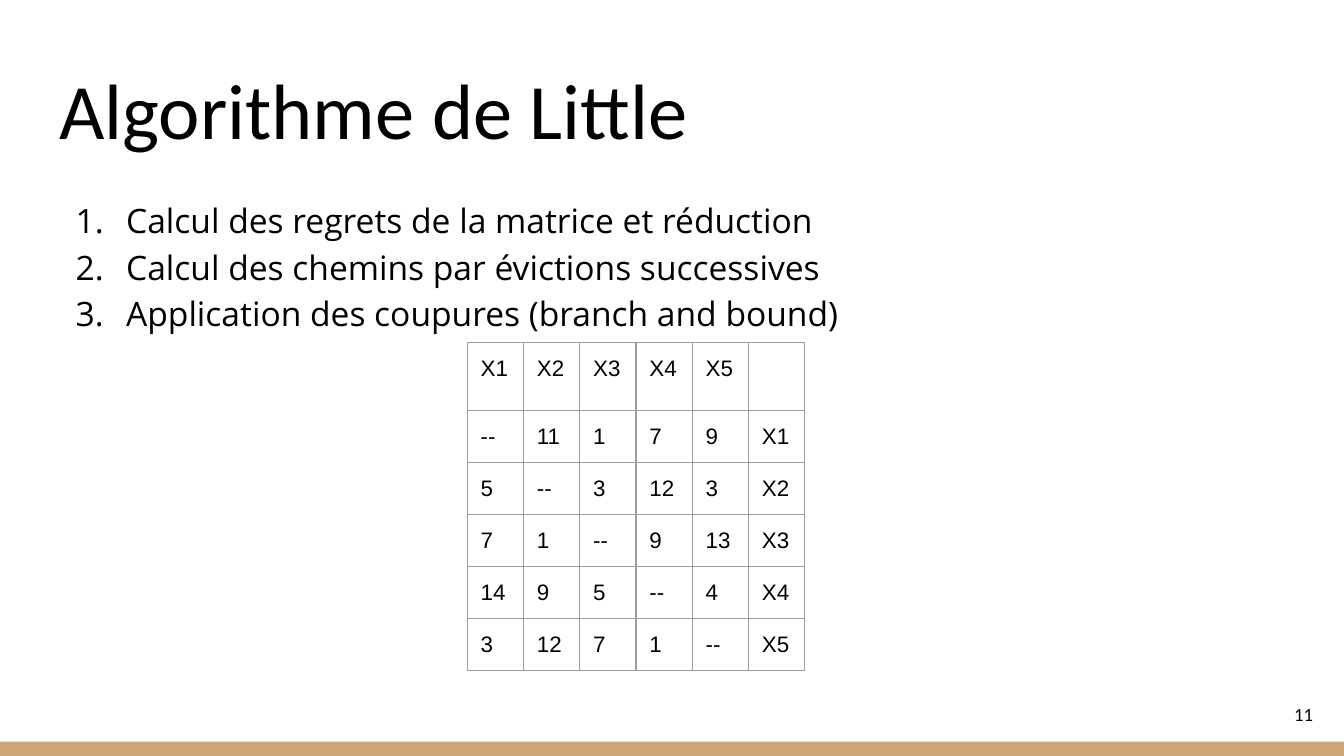
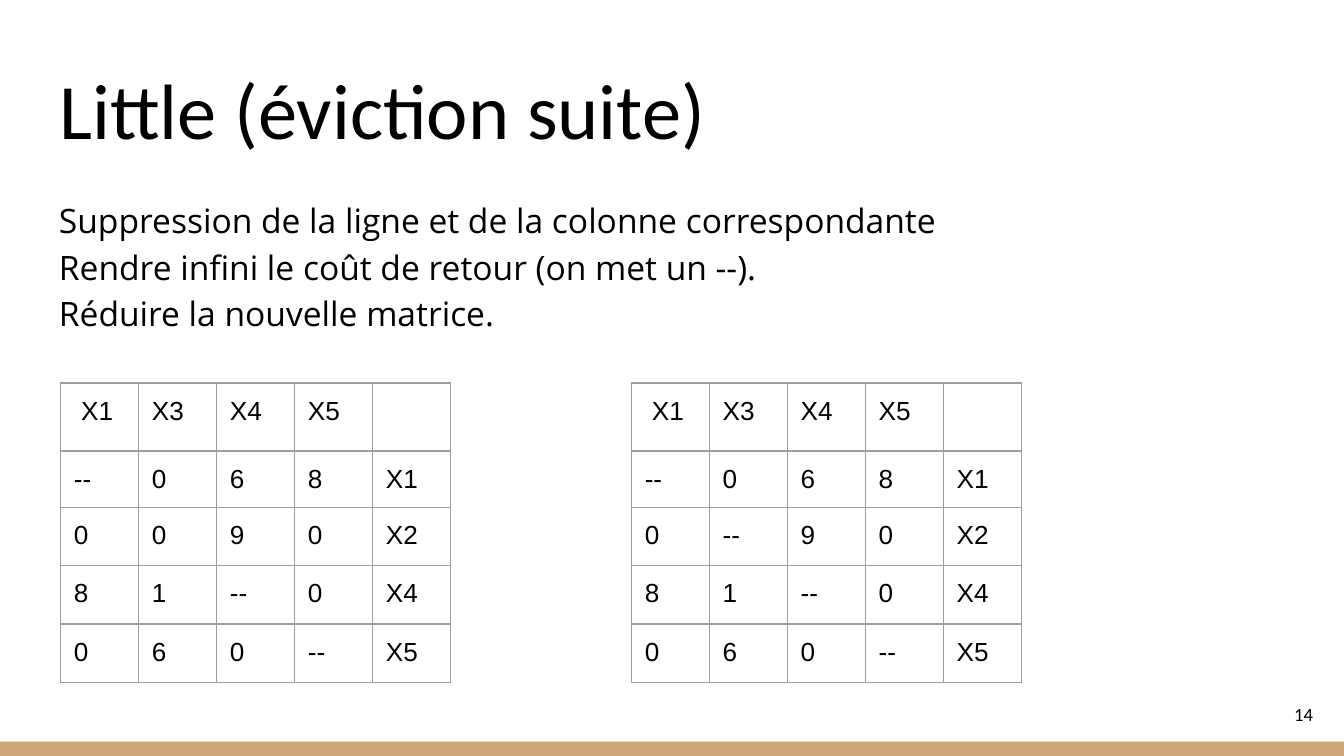
"""Build two slides on Little's algorithm."""
import pptx
import pptx.util
import pptx.dml.color
import pptx.enum.shapes
import pptx.enum.text
import pptx.oxml
import pptx.oxml.ns

Pt = pptx.util.Pt
ALIGN = pptx.enum.text.PP_ALIGN
ANCHOR = pptx.enum.text.MSO_ANCHOR
COLORS = {"ink": "000000", "band": "CCA677", "grid": "9E9E9E"}
FONTS = {"head": "Calibri", "body": "Open Sans", "cell": "Arial"}
PAD = 7.2
LEFT, WIDE = 24.5, 671


def rgb(name):
    """Return the named colour."""
    return pptx.dml.color.RGBColor.from_string(COLORS[name])


def node(text):
    """Parse one drawing element."""
    space = pptx.oxml.ns.nsdecls("a")
    return pptx.oxml.parse_xml(text.replace(" ", f" {space} ", 1))


class Deck:
    """Hold the style and the current slide."""

    def __init__(self):
        """Start an empty wide deck."""
        self.prs = pptx.Presentation()
        self.prs.slide_width, self.prs.slide_height = Pt(720), Pt(405)
        self.slide = None

    def page(self, title, number):
        """Add a slide with its band, title and number."""
        self.slide = self.prs.slides.add_slide(self.prs.slide_layouts[5])
        self.band()
        self.title(title)
        frame = self.box(667.5, 367, 43, 31, ANCHOR.MIDDLE)
        para = frame.paragraphs[0]
        para.alignment = ALIGN.RIGHT
        self.run(para, number, 10, "head")

    def band(self):
        """Draw the strip along the foot."""
        kind = pptx.enum.shapes.MSO_SHAPE.RECTANGLE
        strip = self.slide.shapes.add_shape(kind, 0, Pt(397.4), Pt(720), Pt(7.6))
        strip.shadow.inherit = False
        strip.fill.solid()
        strip.fill.fore_color.rgb = rgb("band")
        strip.line.fill.background()

    def title(self, text):
        """Place and fill the title."""
        shape = self.slide.shapes.title
        shape.left, shape.top = Pt(LEFT), Pt(25)
        shape.width, shape.height = Pt(WIDE), Pt(65.5)
        self.frame(shape.text_frame, ANCHOR.BOTTOM)
        para = shape.text_frame.paragraphs[0]
        para.alignment = ALIGN.LEFT
        self.run(para, text, 42, "head")

    def frame(self, frame, anchor):
        """Set wrap, anchor and insets."""
        frame.word_wrap = True
        frame.auto_size = pptx.enum.text.MSO_AUTO_SIZE.NONE
        frame.vertical_anchor = anchor
        frame.margin_left = frame.margin_right = Pt(PAD)
        frame.margin_top = frame.margin_bottom = Pt(PAD)

    def box(self, left, top, width, height, anchor=ANCHOR.TOP):
        """Add a text box and return its frame."""
        shape = self.slide.shapes.add_textbox(Pt(left), Pt(top), Pt(width), Pt(height))
        self.frame(shape.text_frame, anchor)
        return shape.text_frame

    def run(self, para, text, size, font):
        """Add one styled run."""
        run = para.add_run()
        run.text = text
        run.font.size = Pt(size)
        run.font.name = FONTS[font]
        run.font.color.rgb = rgb("ink")

    def body(self, lines, steps=False):
        """Write lines, as numbered steps if asked."""
        frame = self.box(LEFT, 96.8, WIDE, 264)
        para = frame.paragraphs[0]
        for index, line in enumerate(lines):
            if index and steps:
                para = frame.add_paragraph()
            elif index:
                para.add_line_break()
            para.line_spacing = 1.15
            if steps:
                self.number(para)
            self.run(para, line, 18, "body")

    def number(self, para):
        """Number a step with a hanging indent."""
        props = para._p.get_or_add_pPr()
        props.set("marL", str(Pt(36)))
        props.set("indent", str(Pt(-27)))
        props.append(node(f'<a:buClr ><a:srgbClr val="{COLORS["ink"]}"/></a:buClr>'))
        props.append(node('<a:buFont typeface="Open Sans"/>'))
        props.append(node('<a:buAutoNum type="arabicPeriod"/>'))

    def matrix(self, left, top, width, heights, rows, size):
        """Add a ruled table of costs."""
        count = len(rows[0])
        shape = self.slide.shapes.add_table(
            len(rows), count, Pt(left), Pt(top), Pt(width * count), Pt(sum(heights)))
        table = shape.table
        table.first_row = table.horz_banding = False
        for col in table.columns:
            col.width = Pt(width)
        for row, height, texts in zip(table.rows, heights, rows):
            row.height = Pt(height)
            for cell, text in zip(row.cells, texts):
                self.cell(cell, text, size)

    def cell(self, cell, text, size):
        """Fill and rule one cell."""
        cell.margin_left = cell.margin_right = Pt(PAD)
        cell.margin_top = cell.margin_bottom = Pt(PAD)
        props = cell._tc.get_or_add_tcPr()
        for side in "LRTB":
            props.append(node(
                f'<a:ln{side} w="{Pt(0.75)}"><a:solidFill>'
                f'<a:srgbClr val="{COLORS["grid"]}"/></a:solidFill></a:ln{side}>'))
        cell.fill.background()
        if text:
            self.run(cell.text_frame.paragraphs[0], text, size, "cell")


def main():
    """Build both slides and save."""
    deck = Deck()
    deck.page("Algorithme de Little", "11")
    deck.body(["Calcul des regrets de la matrice et réduction",
               "Calcul des chemins par évictions successives",
               "Application des coupures (branch and bound)"], steps=True)
    costs = [["X1", "X2", "X3", "X4", "X5", ""],
             ["--", "11", "1", "7", "9", "X1"],
             ["5", "--", "3", "12", "3", "X2"],
             ["7", "1", "--", "9", "13", "X3"],
             ["14", "9", "5", "--", "4", "X4"],
             ["3", "12", "7", "1", "--", "X5"]]
    deck.matrix(250.3, 183.4, 30.15, [34.4] + [27.8] * 5, costs, 12)

    deck.page("Little (éviction suite)", "14")
    deck.body(["Suppression de la ligne et de la colonne correspondante",
               "Rendre infini le coût de retour (on met un --).",
               "Réduire la nouvelle matrice."])
    for left, back in ((32.4, "0"), (338.2, "--")):
        costs = [[" X1", "X3", "X4", "X5", ""],
                 ["--", "0", "6", "8", "X1"],
                 ["0", back, "9", "0", "X2"],
                 ["8", "1", "--", "0", "X4"],
                 ["0", "6", "0", "--", "X5"]]
        deck.matrix(left, 205.2, 41.8, [34.4, 30] + [31.3] * 3, costs, 14)
    deck.prs.save("out.pptx")


if __name__ == "__main__":
    main()
